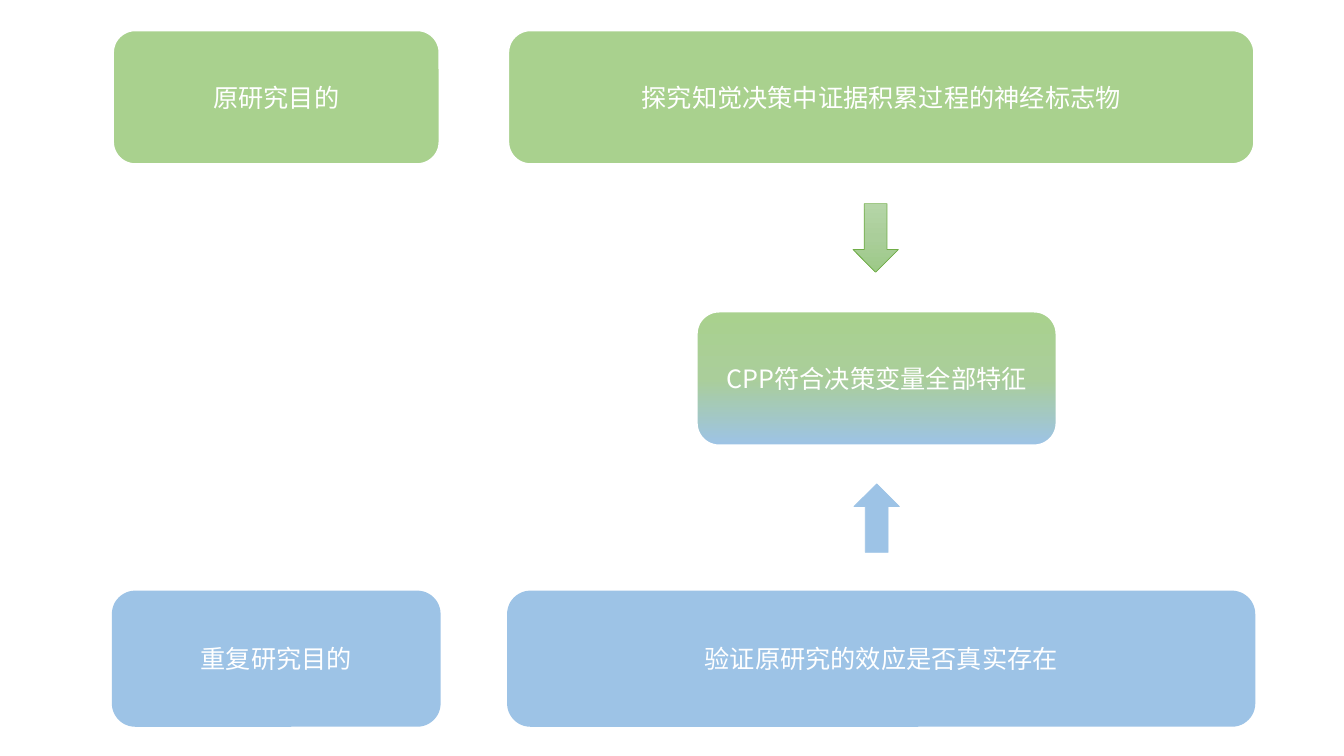
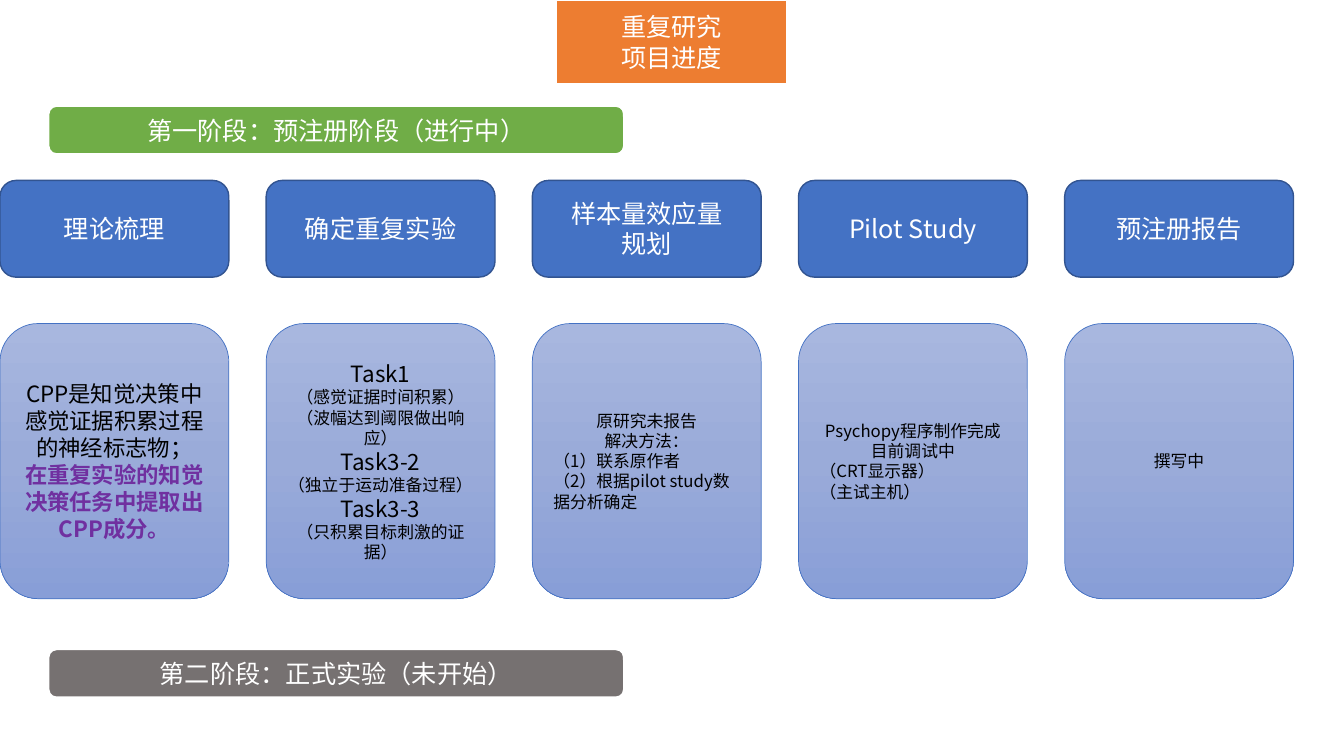
from copy import deepcopy
from dataclasses import dataclass

from lxml.etree import SubElement
from pptx import Presentation
from pptx.dml.color import RGBColor
from pptx.enum.shapes import MSO_SHAPE
from pptx.enum.text import MSO_ANCHOR, PP_ALIGN
from pptx.oxml.ns import qn
from pptx.util import Inches, Pt

FONT = "Noto Sans CJK SC"
WHITE, BLACK, PURPLE = "FFFFFF", "000000", "7030A0"
LIGHT_GREEN, GREEN, LIGHT_BLUE = "A9D18E", "70AD47", "9DC3E6"
BLUE, DARK_BLUE, ORANGE, GRAY = "4472C4", "325491", "ED7D31", "767171"
GREEN_SHADES = ("B5D5A7", "AACE9A", "9CC987")
GREEN_TO_BLUE = (LIGHT_GREEN, "AACE9A", LIGHT_BLUE)
BLUE_SHADES = ("A8B7DF", "9AABD9", "889ED7")

BOX_HEIGHT = 1.33
COLUMN_STEP, COLUMN_WIDTH = 2.64, 2.27


@dataclass
class Line:
    text: str
    size: int = 12
    color: str = BLACK
    bold: bool = False
    align: PP_ALIGN = PP_ALIGN.CENTER


def left_line(text):
    return Line(text, align=PP_ALIGN.LEFT)


def label(*texts):
    return [Line(text, 18, WHITE) for text in texts]


STEPS = [
    (["理论梳理"], [
        Line("CPP是知觉决策中感觉证据积累过程的神经标志物；", 16),
        Line("在重复实验的知觉决策任务中提取出CPP成分。", 16, PURPLE, True),
    ]),
    (["确定重复实验"], [
        Line("Task1", 16),
        Line("（感觉证据时间积累）"),
        Line("（波幅达到阈限做出响应）"),
        Line("Task3-2", 16),
        Line("（独立于运动准备过程）"),
        Line("Task3-3", 16),
        Line("（只积累目标刺激的证据）"),
    ]),
    (["样本量效应量", "规划"], [
        Line("原研究未报告"),
        Line("解决方法："),
        left_line("（1）联系原作者"),
        left_line("（2）根据pilot study数据分析确定"),
    ]),
    (["Pilot Study"], [
        Line("Psychopy程序制作完成"),
        Line("目前调试中"),
        left_line("（CRT显示器）"),
        left_line("（主试主机）"),
    ]),
    (["预注册报告"], [Line("撰写中")]),
]


def rgb(color):
    return RGBColor.from_string(color)


def paint(shape, fill, line, line_width):
    """Fill with one colour, or with a top-to-bottom gradient of three."""
    if isinstance(fill, str):
        shape.fill.solid()
        shape.fill.fore_color.rgb = rgb(fill)
    else:
        shape.fill.gradient()
        shape.fill.gradient_angle = 270
        stop_list = shape.element.spPr.find(".//" + qn("a:gsLst"))
        stop_list.append(deepcopy(stop_list[0]))
        for stop, position, color in zip(shape.fill.gradient_stops, (0, 0.5, 1), fill):
            stop.position = position
            stop.color.rgb = rgb(color)
    shape.line.color.rgb = rgb(line)
    shape.line.width = Pt(line_width)


def write(shape, lines):
    frame = shape.text_frame
    frame.word_wrap = True
    frame.vertical_anchor = MSO_ANCHOR.MIDDLE
    for index, line in enumerate(lines):
        paragraph = frame.add_paragraph() if index else frame.paragraphs[0]
        paragraph.alignment = line.align
        run = paragraph.add_run()
        run.text = line.text
        run.font.size = Pt(line.size)
        run.font.bold = line.bold
        run.font.color.rgb = rgb(line.color)
        run.font.name = FONT
        SubElement(run.font._element, qn("a:ea"), typeface=FONT)


def add_figure(slide, kind, place, fill, line, line_width):
    shape = slide.shapes.add_shape(kind, *map(Inches, place))
    shape.shadow.inherit = False
    paint(shape, fill, line, line_width)
    return shape


def add_box(slide, place, lines, fill, line=WHITE, line_width=1.5):
    box = add_figure(slide, MSO_SHAPE.ROUNDED_RECTANGLE, place, fill, line, line_width)
    write(box, lines)


def format_title(slide, place, lines, fill):
    """Turn the title placeholder into a filled rounded box."""
    title = slide.shapes.title
    title.left, title.top, title.width, title.height = map(Inches, place)
    geometry = SubElement(title.element.spPr, qn("a:prstGeom"), prst="roundRect")
    SubElement(geometry, qn("a:avLst"))
    paint(title, fill, WHITE, 1.5)
    write(title, lines)


def build_purpose_slide(presentation):
    slide = presentation.slides.add_slide(presentation.slide_layouts[6])
    rows = [
        (0.3, "原研究目的", "探究知觉决策中证据积累过程的神经标志物", LIGHT_GREEN, WHITE),
        (5.87, "重复研究目的", "验证原研究的效应是否真实存在", LIGHT_BLUE, LIGHT_BLUE),
    ]
    for top, name, purpose, fill, line in rows:
        add_box(slide, (1.12, top, 3.24, BOX_HEIGHT), label(name), fill, line)
        add_box(slide, (5.04, top, 7.4, BOX_HEIGHT), label(purpose), fill, line)
    add_box(slide, (6.91, 3.09, 3.57, BOX_HEIGHT),
            label("CPP符合决策变量全部特征"), GREEN_TO_BLUE)
    add_figure(slide, MSO_SHAPE.DOWN_ARROW, (8.46, 2.02, 0.45, 0.68),
               GREEN_SHADES, GREEN, 0.5)
    add_figure(slide, MSO_SHAPE.UP_ARROW, (8.47, 4.8, 0.45, 0.68),
               LIGHT_BLUE, LIGHT_BLUE, 0.5)


def build_progress_slide(presentation):
    slide = presentation.slides.add_slide(presentation.slide_layouts[5])
    format_title(slide, (5.51, 0, 2.3, 0.83), label("重复研究", "项目进度"), ORANGE)
    stages = [
        (1.05, "第一阶段：预注册阶段（进行中）", GREEN),
        (6.44, "第二阶段：正式实验（未开始）", GRAY),
    ]
    for top, name, fill in stages:
        add_box(slide, (0.48, top, 5.71, 0.48), label(name), fill)
    for column, (heading, details) in enumerate(STEPS):
        left = column * COLUMN_STEP
        add_box(slide, (left, 1.79, COLUMN_WIDTH, 0.96), label(*heading),
                BLUE, DARK_BLUE, 1)
        add_box(slide, (left, 3.21, COLUMN_WIDTH, 2.73), details,
                BLUE_SHADES, BLUE, 0.5)


def main():
    presentation = Presentation()
    presentation.slide_width = Inches(13.33)
    presentation.slide_height = Inches(7.5)
    build_purpose_slide(presentation)
    build_progress_slide(presentation)
    presentation.save("out.pptx")


if __name__ == "__main__":
    main()
